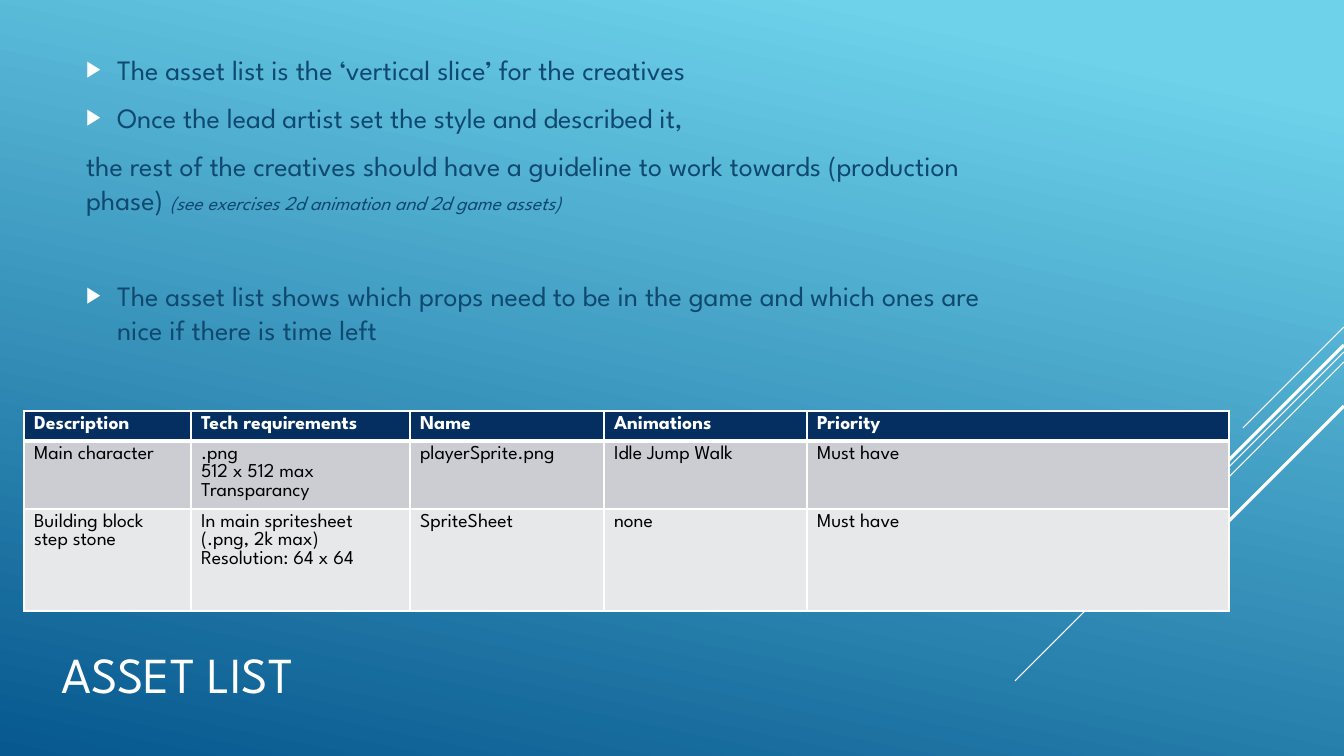
"""Build the asset list slide with its bullets, table and diagonal accent lines."""
import dataclasses

import lxml.etree
import pptx
import pptx.dml.color
import pptx.enum.shapes
import pptx.enum.text
import pptx.oxml.ns
import pptx.util

PIXEL = 914400 / 100.8


@dataclasses.dataclass(frozen=True)
class Theme:
    font: str = "League Spartan"
    sky: str = "6ED2EB"
    deep: str = "06588E"
    white: str = "FFFFFF"
    black: str = "000000"
    body: str = "0F496F"
    header: str = "052F61"
    bands: tuple = ("CCCDD2", "E7E8EA")
    title_size: int = 36
    body_size: int = 20
    small_size: int = 14
    line_height: float = 24.3
    space_before: int = 4
    space_after: int = 6


THEME = Theme()

ACCENT_LINES = [
    ((1344, 327), (1243, 428), 0.75),
    ((1344, 352), (1015, 681), 0.75),
    ((1344, 362), (1135, 571), 0.75),
    ((1344, 345), (1151, 538), 2.25),
    ((1344, 406), (1204, 546), 2.25),
]
COLUMN_WIDTHS = [167, 219, 194, 203, 422]
ROW_HEIGHTS = [30, 68, 102]
ASSETS = [
    ["Description", "Tech requirements", "Name", "Animations", "Priority"],
    ["Main character", ".png\v512 x 512 max\nTransparancy", "playerSprite.png",
     "Idle Jump Walk", "Must have"],
    ["Building block step stone",
     "In main spritesheet\n(.png, 2k max)\nResolution: 64 x 64",
     "SpriteSheet", "none", "Must have"],
]


def px(length):
    return pptx.util.Emu(round(length * PIXEL))


def rgb(color):
    return pptx.dml.color.RGBColor.from_string(color)


def add_element(parent, tag, **attributes):
    element = lxml.etree.SubElement(parent, pptx.oxml.ns.qn(tag))
    for name, value in attributes.items():
        element.set(name, str(value))
    return element


def format_run(run, size, color, bold=False, italic=False):
    run.font.name = THEME.font
    run.font.size = pptx.util.Pt(size)
    run.font.color.rgb = rgb(color)
    run.font.bold = bold
    run.font.italic = italic


def place(shape, left, top, width, height):
    shape.left, shape.top = px(left), px(top)
    shape.width, shape.height = px(width), px(height)


def set_background(slide):
    fill = slide.background.fill
    fill.gradient()
    fill.gradient_angle = 258
    stops = [(THEME.sky, 0.1), (THEME.deep, 1)]
    for stop, (color, position) in zip(fill.gradient_stops, stops):
        stop.color.rgb = rgb(color)
        stop.position = position


def add_accent_line(slide, start, end, weight):
    line = slide.shapes.add_connector(
        pptx.enum.shapes.MSO_CONNECTOR.STRAIGHT, *map(px, start + end))
    line.line.color.rgb = rgb(THEME.white)
    line.line.width = pptx.util.Pt(weight)
    add_element(line.element.spPr, "a:effectLst")


def fill_title(title, text):
    place(title, 51, 590, 940, 166)
    frame = title.text_frame
    frame.text = text
    frame.word_wrap = True
    frame.auto_size = pptx.enum.text.MSO_AUTO_SIZE.NONE
    frame.vertical_anchor = pptx.enum.text.MSO_ANCHOR.MIDDLE
    frame.paragraphs[0].alignment = pptx.enum.text.PP_ALIGN.LEFT
    format_run(frame.paragraphs[0].runs[0], THEME.title_size, THEME.white)


def format_body_paragraph(paragraph, bulleted, extra_space=0):
    paragraph.line_spacing = pptx.util.Pt(THEME.line_height)
    paragraph.space_before = pptx.util.Pt(THEME.space_before + extra_space)
    paragraph.space_after = pptx.util.Pt(THEME.space_after)
    properties = paragraph._p.get_or_add_pPr()
    indent = px(31) if bulleted else 0
    properties.set("marL", str(indent))
    properties.set("indent", str(-indent))
    if bulleted:
        color = add_element(properties, "a:buClr")
        add_element(color, "a:srgbClr", val=THEME.white)
        add_element(properties, "a:buSzPct", val=80000)
        add_element(properties, "a:buChar", char="▶")
    else:
        add_element(properties, "a:buNone")
    for run in paragraph.runs:
        format_run(run, THEME.body_size, THEME.body)


def fill_body(body):
    place(body, 76, 47, 940, 427)
    frame = body.text_frame
    frame.text = "\n".join([
        "The asset list is the ‘vertical slice’ for the creatives",
        "Once the lead artist set the style and described it,",
        "the rest of the creatives should have a guideline to work towards "
        "(production phase) ",
        "The asset list shows which props need to be in the game and which "
        "ones are nice if there is time left",
    ])
    frame.word_wrap = True
    frame.auto_size = pptx.enum.text.MSO_AUTO_SIZE.NONE
    frame.vertical_anchor = pptx.enum.text.MSO_ANCHOR.TOP
    first, second, guideline, last = frame.paragraphs
    format_body_paragraph(first, True)
    format_body_paragraph(second, True)
    format_body_paragraph(guideline, False)
    format_body_paragraph(last, True, extra_space=34)
    aside = guideline.add_run()
    aside.text = "(see exercises 2d animation and 2d game assets)"
    format_run(aside, THEME.small_size, THEME.body, italic=True)


def set_borders(cell, top, bottom):
    properties = cell._tc.get_or_add_tcPr()
    for side, weight in (("L", 1), ("R", 1), ("T", top), ("B", bottom)):
        border = add_element(properties, f"a:ln{side}", w=pptx.util.Pt(weight))
        fill = add_element(border, "a:solidFill")
        add_element(fill, "a:srgbClr", val=THEME.white)


def fill_cell(cell, text, row):
    header = row == 0
    set_borders(cell, top=3 if row == 1 else 1, bottom=3 if header else 1)
    cell.fill.solid()
    cell.fill.fore_color.rgb = rgb(THEME.header if header else THEME.bands[row - 1])
    cell.text_frame.text = text
    color = THEME.white if header else THEME.black
    for paragraph in cell.text_frame.paragraphs:
        for run in paragraph.runs:
            format_run(run, THEME.small_size, color, bold=header)


def add_asset_table(slide):
    table = slide.shapes.add_table(
        len(ASSETS), len(COLUMN_WIDTHS), px(24), px(411),
        px(sum(COLUMN_WIDTHS)), px(sum(ROW_HEIGHTS))).table
    for column, width in zip(table.columns, COLUMN_WIDTHS):
        column.width = px(width)
    for row, height in zip(table.rows, ROW_HEIGHTS):
        row.height = px(height)
    for row, texts in enumerate(ASSETS):
        for column, text in enumerate(texts):
            fill_cell(table.cell(row, column), text, row)


def main():
    presentation = pptx.Presentation()
    presentation.slide_width = px(1344)
    presentation.slide_height = px(756)
    slide = presentation.slides.add_slide(presentation.slide_layouts[1])
    set_background(slide)
    for start, end, weight in ACCENT_LINES:
        add_accent_line(slide, start, end, weight)
    fill_title(slide.shapes.title, "ASSET LIST")
    fill_body(slide.placeholders[1])
    add_asset_table(slide)
    presentation.save("out.pptx")


main()
